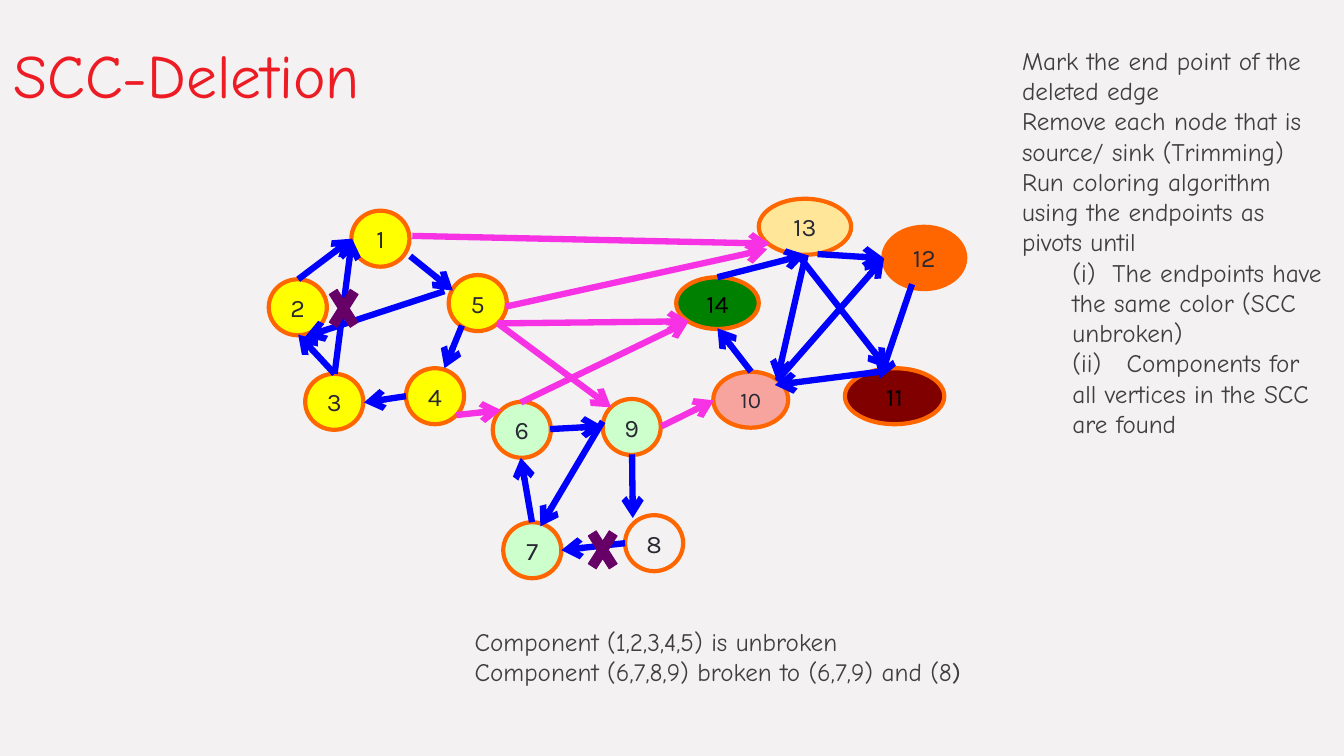
import pptx
import pptx.dml.color
import pptx.enum.shapes
import pptx.enum.text
import pptx.oxml.ns
import pptx.util
from lxml import etree

Pt = pptx.util.Pt
SHAPES = pptx.enum.shapes.MSO_SHAPE
ANCHOR = pptx.enum.text.MSO_ANCHOR

COLORS = {
    "background": "F3F1F1", "title": "ED1C24", "body": "3F3F3F", "label": "292934",
    "dark label": "000000", "outline": "FF6600", "yellow": "FFFF00", "mint": "CCFFCC",
    "sand": "FFE699", "green": "008000", "rose": "F7A39E", "maroon": "800000",
    "orange": "FF6600", "inner": "0000FF", "crossing": "F731E4", "deleted": "660066",
}
HAND_FONT, LABEL_FONT = "Comic Neue", "Karla"
ROUND = (41.5, 40)

# Label, left, top, size, fill: offsets from the graph's corner
NODES = [
    ("1", 59, 10.5, ROUND, "yellow"), ("2", 0, 59.5, ROUND, "yellow"),
    ("3", 26, 127, ROUND, "yellow"), ("4", 98, 123, ROUND, "yellow"),
    ("5", 128.5, 56.5, ROUND, "yellow"), ("6", 160, 147, ROUND, "mint"),
    ("9", 238.5, 145, ROUND, "mint"), ("7", 167.5, 233, ROUND, "mint"),
    ("8", 254.5, 228, ROUND, None), ("13", 350, 2, (66, 40), "sand"),
    ("14", 291, 58, (59, 37), "green"), ("10", 317.5, 125.5, (53.5, 40), "rose"),
    ("11", 411.5, 123, (71, 40), "maroon"), ("12", 439, 22, (58.5, 44.5), "orange"),
]

# Start x, start y, end x, end y: edges inside and between components
EDGES = {
    "inner": [
        (101, 43, 131.5, 67.5), (138, 92.5, 125.5, 123), (98, 143, 68, 147.5),
        (47, 127, 21, 99), (21, 59.5, 59.5, 30.5), (47, 127, 59.5, 30.5),
        (125.5, 68, 26, 100.5), (201, 166.5, 238.5, 164.5), (259.5, 184.5, 260, 230),
        (254.5, 248, 209, 253), (188, 233, 180, 187), (238.5, 161, 194, 236),
        (392, 41.5, 439.5, 44.5), (459.5, 63, 436.5, 130.5), (436.5, 125.5, 361.5, 135),
        (344.5, 125.5, 320.5, 94.5), (320.5, 58, 383.5, 42), (383.5, 42, 363, 132),
        (378, 42, 441.5, 123), (363, 132, 439.5, 44.5),
    ],
    "crossing": [
        (163.5, 91, 244.5, 151), (180, 147.5, 300, 89.5), (163.5, 91, 300, 89.5),
        (134, 156.5, 166, 153), (280.5, 164.5, 318, 146), (102.5, 28.5, 358, 34),
        (169.5, 79, 356, 38),
    ],
}
DELETED_MARKS = [(39, 57.5), (224, 230)]

RESULTS = ["Component (1,2,3,4,5) is unbroken",
           "Component (6,7,8,9) broken to (6,7,9) and (8"]

# Number, text, left margin, extra width of the gap after the number
STEPS = [
    ("", "Mark the end point of the deleted edge", 36, 0),
    ("", "Remove each node that is source/ sink (Trimming)", 36, 0),
    ("", "Run coloring algorithm using the endpoints as pivots until", 36, 0),
    ("(i)", "The endpoints have the same color (SCC unbroken)", 72, 6),
    ("(ii)", "Components for all vertices in the SCC are found", 72, 12),
]


def rgb(name):
    return pptx.dml.color.RGBColor.from_string(COLORS[name])


def style_font(font, name, size, color):
    font.name = name
    font.size = Pt(size)
    font.color.rgb = rgb(color)


def add_text_box(slide, box):
    text_frame = slide.shapes.add_textbox(*(Pt(value) for value in box)).text_frame
    text_frame.word_wrap = True
    return text_frame


def add_filled_shape(slide, preset, box, fill, line, line_width):
    shape = slide.shapes.add_shape(preset, *(Pt(value) for value in box))
    shape.shadow.inherit = False
    if fill:
        shape.fill.solid()
        shape.fill.fore_color.rgb = rgb(fill)
    else:
        shape.fill.background()
    shape.line.color.rgb = rgb(line)
    shape.line.width = Pt(line_width)
    return shape


def add_arrow(slide, start_x, start_y, end_x, end_y, color):
    connector = slide.shapes.add_connector(
        pptx.enum.shapes.MSO_CONNECTOR.STRAIGHT,
        Pt(start_x), Pt(start_y), Pt(end_x), Pt(end_y))
    connector.line.color.rgb = rgb(color)
    connector.line.width = Pt(4.5)
    properties = connector.element.spPr
    line = properties.find(pptx.oxml.ns.qn("a:ln"))
    etree.SubElement(line, pptx.oxml.ns.qn("a:tailEnd"), type="arrow")
    etree.SubElement(properties, pptx.oxml.ns.qn("a:effectLst"))


def add_title(slide, box):
    text_frame = add_text_box(slide, box)
    text_frame.vertical_anchor = ANCHOR.MIDDLE
    text_frame.text = "SCC-Deletion"
    paragraph = text_frame.paragraphs[0]
    paragraph.line_spacing = 0.9
    style_font(paragraph.runs[0].font, HAND_FONT, 44, "title")


def add_graph(slide, box):
    left, top = box
    # Nodes
    for label, x, y, size, fill in NODES:
        node = add_filled_shape(slide, SHAPES.OVAL, (left + x, top + y, *size),
                                fill, "outline", 3)
        text_frame = node.text_frame
        text_frame.word_wrap = False
        text_frame.vertical_anchor = ANCHOR.MIDDLE
        text_frame.text = label
        paragraph = text_frame.paragraphs[0]
        paragraph.alignment = pptx.enum.text.PP_ALIGN.CENTER
        color = "dark label" if fill in ("green", "maroon") else "label"
        style_font(paragraph.runs[0].font, LABEL_FONT, 16 if label == "10" else 18, color)
    # Edges
    for color, edges in EDGES.items():
        for start_x, start_y, end_x, end_y in edges:
            add_arrow(slide, left + start_x, top + start_y, left + end_x, top + end_y, color)
    # Crosses on the deleted edges
    for x, y in DELETED_MARKS:
        add_filled_shape(slide, SHAPES.MATH_MULTIPLY, (left + x, top + y, 29, 45.5),
                         "deleted", "deleted", 0.5)


def add_results(slide, box):
    text_frame = add_text_box(slide, box)
    text_frame.text = "\n".join(RESULTS)
    for paragraph in text_frame.paragraphs:
        style_font(paragraph.runs[0].font, HAND_FONT, 18, "body")
    closing = text_frame.paragraphs[-1].add_run()
    closing.text = ")"
    style_font(closing.font, LABEL_FONT, 18, "body")


def add_steps(slide, box):
    text_frame = add_text_box(slide, box)
    text_frame.text = "\n".join(number or text for number, text, margin, gap in STEPS)
    for paragraph, (number, text, margin, gap) in zip(text_frame.paragraphs, STEPS):
        properties = paragraph._p.get_or_add_pPr()
        properties.set("marL", str(Pt(margin)))
        properties.set("indent", "0")
        if number:
            # One widened space sets the text off from its number
            space = paragraph.add_run()
            space.text = " "
            space.font._element.set("spc", str(gap * 100))
            paragraph.add_run().text = text
        for run in paragraph.runs:
            style_font(run.font, HAND_FONT, 18, "body")


def main():
    presentation = pptx.Presentation()
    presentation.slide_width = Pt(960)
    presentation.slide_height = Pt(540)
    slide = presentation.slides.add_slide(presentation.slide_layouts[6])
    slide.background.fill.solid()
    slide.background.fill.fore_color.rgb = rgb("background")
    add_title(slide, (2.5, 3.5, 357, 104.5))
    add_graph(slide, (192, 140))
    add_results(slide, (332, 443.5, 491, 51))
    add_steps(slide, (687, 28.75, 271, 312.5))
    presentation.save("out.pptx")


if __name__ == "__main__":
    main()
